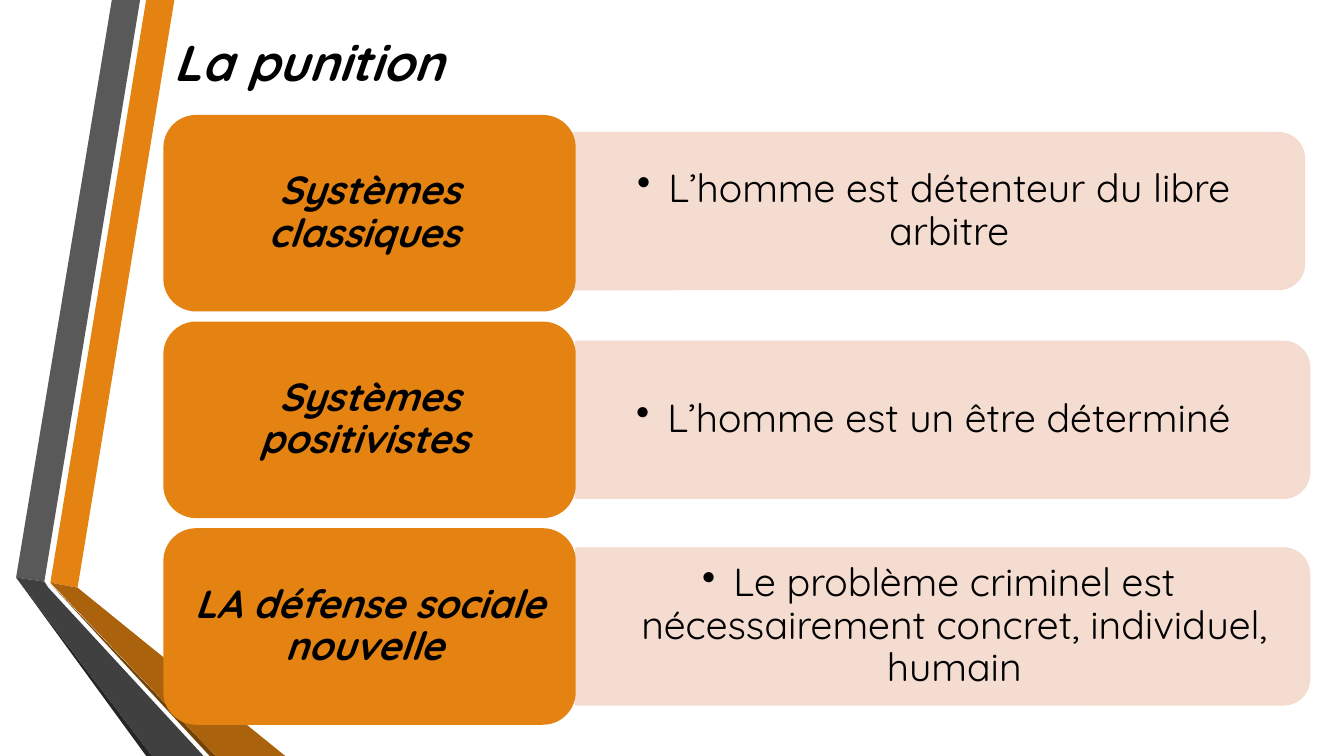
from lxml import etree
from pptx import Presentation
from pptx.dml.color import RGBColor
from pptx.enum.shapes import MSO_SHAPE
from pptx.enum.text import MSO_ANCHOR, PP_ALIGN
from pptx.oxml.ns import qn
from pptx.util import Inches, Pt

ROUNDED = MSO_SHAPE.ROUNDED_RECTANGLE
TOP_ROUNDED = MSO_SHAPE.ROUND_2_SAME_RECTANGLE
MIDDLE = MSO_ANCHOR.MIDDLE
CENTER, LEFT = PP_ALIGN.CENTER, PP_ALIGN.LEFT

ORANGE, BLUSH, BLACK = "E48312", "F5D9CC", "000000"
WIDTH, HEIGHT = 13.33, 7.5

presentation = Presentation()
presentation.slide_width = Inches(WIDTH)
presentation.slide_height = Inches(HEIGHT)
slide = presentation.slides.add_slide(presentation.slide_layouts[6])
shapes = slide.shapes


def paint(shape, color):
    shape.shadow.inherit = False
    shape.fill.solid()
    shape.fill.fore_color.rgb = RGBColor.from_string(color)
    shape.line.fill.background()


def write(shape, text, size, align, insets, emphasis, spacing=0.9):
    frame = shape.text_frame
    frame.word_wrap = True
    frame.vertical_anchor = MIDDLE
    frame.margin_left = frame.margin_right = Inches(insets[0])
    frame.margin_top = frame.margin_bottom = Inches(insets[1])
    paragraph = frame.paragraphs[0]
    paragraph.alignment = align
    paragraph.line_spacing = spacing
    run = paragraph.add_run()
    run.text = text
    font_format = {"name": "Quicksand", "size": Pt(size),
                   "bold": emphasis, "italic": emphasis}
    for name, value in font_format.items():
        setattr(run.font, name, value)
    run.font.color.rgb = RGBColor.from_string(BLACK)
    return paragraph


# Folded ribbons along the left edge
ribbons = [
    (ORANGE, [(0.5, 5.78), (0.77, 5.83), (1.73, 0), (1.45, 0)]),
    ("595959", [(1.39, 0), (1.11, 0), (0.16, 5.73), (0.44, 5.77)]),
    ("262626", [(0.16, 5.73), (1.45, HEIGHT), (1.51, HEIGHT)]),
    ("724209", [(0.5, 5.79), (2.08, HEIGHT), (2.14, HEIGHT)]),
    ("AB620D", [(0.5, 5.78), (2.14, HEIGHT), (2.83, HEIGHT), (0.77, 5.83)]),
    ("404040", [(2.02, HEIGHT), (0.48, 5.83), (0.44, 5.77), (0.16, 5.73), (1.51, HEIGHT)]),
]
for color, corners in ribbons:
    points = [(round(x * 100), round(y * 100)) for x, y in corners]
    builder = shapes.build_freeform(*points[0], scale=Inches(0.01))
    builder.add_line_segments(points[1:], close=True)
    paint(builder.convert_to_shape(), color)

# Title
LABEL_LEFT = 1.62
title = shapes.add_textbox(Inches(LABEL_LEFT), Inches(0.3), Inches(10.96), Inches(0.69))
write(title, "La punition", 36, LEFT, (0.1, 0.05), True)

# Rows: a label on the left, its bar on the right; the first bar sits slightly off
LABEL_WIDTH, LABEL_HEIGHT = 4.09, 1.95
FIRST_TOP, ROW_PITCH = 1.14, 2.05
BAR_LEFT, BAR_LENGTH, BAR_HEIGHT = 5.71, 7.28, 1.56
TEXT_WIDTH, TEXT_HEIGHT = 7.2, 1.41
rows = [
    ("Systèmes classiques ", "L’homme est détenteur du libre arbitre", -0.05, -0.02),
    ("Systèmes positivistes ", "L’homme est un être déterminé ", 0, 0),
    ("LA défense sociale nouvelle ",
     "Le problème criminel est nécessairement concret, individuel, humain", 0, 0),
]
for index, (label_text, detail_text, shift_x, shift_y) in enumerate(rows):
    top = FIRST_TOP + index * ROW_PITCH
    bar_left = BAR_LEFT + shift_x
    center_x = bar_left + BAR_LENGTH / 2
    center_y = top + LABEL_HEIGHT / 2 + shift_y

    # Bar, turned so that its rounded end faces right
    bar = shapes.add_shape(
        TOP_ROUNDED, Inches(center_x - BAR_HEIGHT / 2), Inches(center_y - BAR_LENGTH / 2),
        Inches(BAR_HEIGHT), Inches(BAR_LENGTH))
    bar.rotation = 90
    paint(bar, BLUSH)
    bar.line.color.rgb = RGBColor.from_string(BLUSH)
    bar.line.width = Pt(0.75)
    for color_element in bar.fill._xPr.iter(qn("a:srgbClr")):
        etree.SubElement(color_element, qn("a:alpha"), val="90000")

    # Bulleted detail
    detail = shapes.add_textbox(
        Inches(bar_left), Inches(center_y - TEXT_HEIGHT / 2),
        Inches(TEXT_WIDTH), Inches(TEXT_HEIGHT))
    paragraph = write(detail, detail_text, 28, CENTER, (0.27, 0.14), False)
    properties = paragraph._p.get_or_add_pPr()
    properties.set("marL", str(Inches(0.31)))
    properties.set("indent", str(Inches(-0.31)))
    etree.SubElement(properties, qn("a:buChar"), char="•")

    # Label
    label = shapes.add_shape(
        ROUNDED, Inches(LABEL_LEFT), Inches(top), Inches(LABEL_WIDTH), Inches(LABEL_HEIGHT))
    paint(label, ORANGE)
    write(label, label_text, 28, CENTER, (0.12, 0.06), True)

presentation.save("out.pptx")
